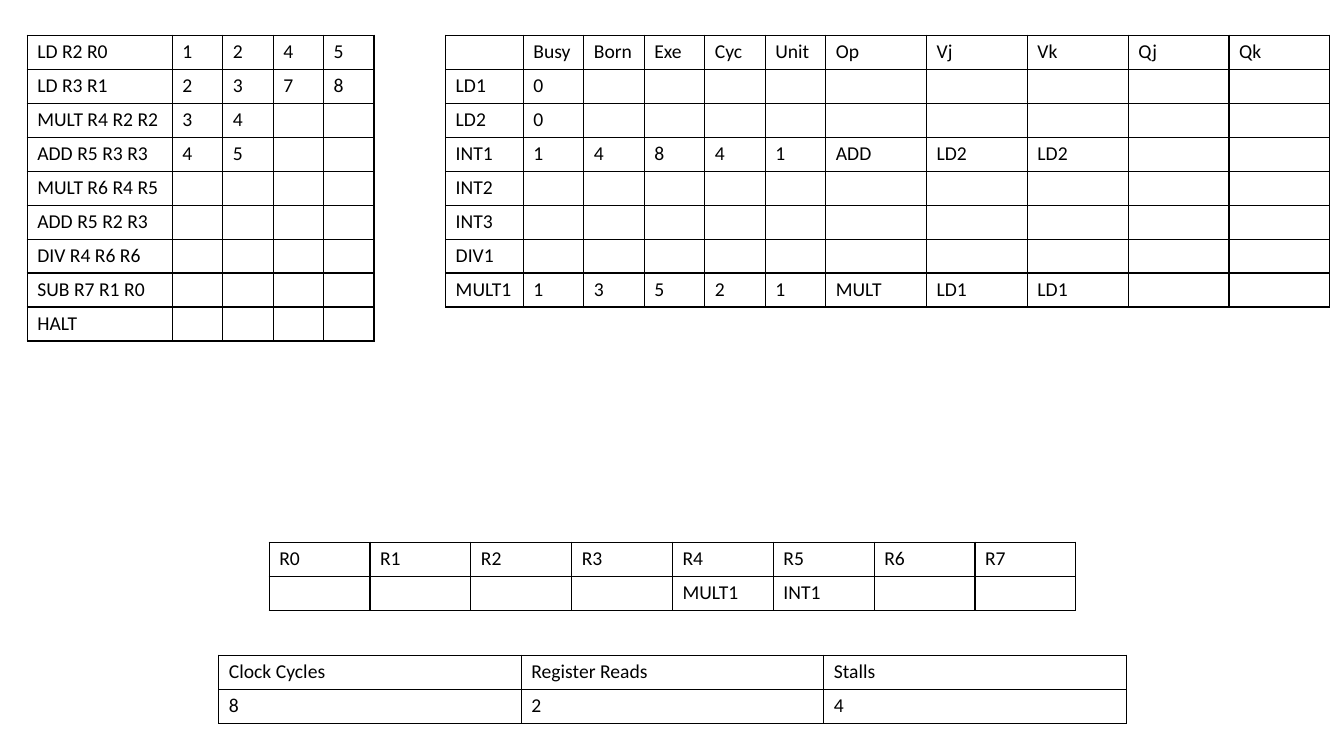
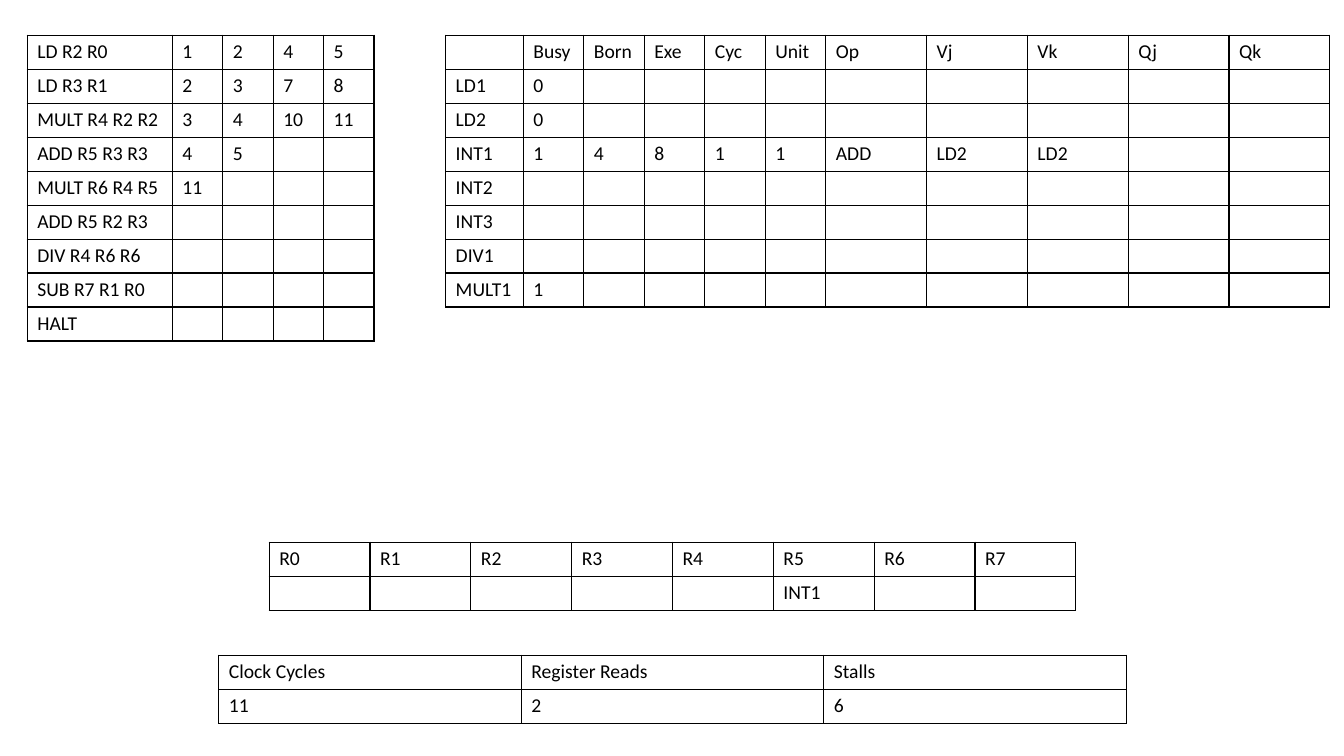
from lxml.etree import SubElement
from pptx import Presentation
from pptx.dml.color import RGBColor
from pptx.oxml.ns import qn
from pptx.util import Pt

PX = 9144
FONT = "Calibri"
SIZE = 14
ROW = 30
HUE = {"ink": "000000"}

CODE = ["LD R2 R0", "LD R3 R1", "MULT R4 R2 R2", "ADD R5 R3 R3", "MULT R6 R4 R5",
        "ADD R5 R2 R3", "DIV R4 R6 R6", "SUB R7 R1 R0", "HALT"]
HEAD = ["", "Busy", "Born", "Exe", "Cyc", "Unit", "Op", "Vj", "Vk", "Qj", "Qk"]
UNITS = ["LD1", "LD2", "INT1", "INT2", "INT3", "DIV1", "MULT1"]
REGS = [f"R{n}" for n in range(8)]
STATS = ["Clock Cycles", "Register Reads", "Stalls"]

STATES = [
    {
        "times": {"LD R2 R0": [1, 2, 4, 5], "LD R3 R1": [2, 3, 7, 8],
                  "MULT R4 R2 R2": [3, 4], "ADD R5 R3 R3": [4, 5]},
        "units": {"LD1": [0], "LD2": [0],
                  "INT1": [1, 4, 8, 4, 1, "ADD", "LD2", "LD2"],
                  "MULT1": [1, 3, 5, 2, 1, "MULT", "LD1", "LD1"]},
        "regs": {"R4": "MULT1", "R5": "INT1"},
        "stats": [8, 2, 4],
    },
    {
        "times": {"LD R2 R0": [1, 2, 4, 5], "LD R3 R1": [2, 3, 7, 8],
                  "MULT R4 R2 R2": [3, 4, 10, 11], "ADD R5 R3 R3": [4, 5],
                  "MULT R6 R4 R5": [11]},
        "units": {"LD1": [0], "LD2": [0],
                  "INT1": [1, 4, 8, 1, 1, "ADD", "LD2", "LD2"],
                  "MULT1": [1]},
        "regs": {"R5": "INT1"},
        "stats": [11, 2, 6],
    },
]


def fill_cell(cell, text):
    para = cell.text_frame.paragraphs[0]
    if text:
        run = para.add_run()
        run.text = text
        run.font.name = FONT
        run.font.size = Pt(SIZE)
        run.font.color.rgb = RGBColor.from_string(HUE["ink"])
    else:
        SubElement(para._p, qn("a:endParaRPr"), sz=str(SIZE * 100))
    props = cell._tc.get_or_add_tcPr()
    for side in "LRTB":
        line = SubElement(props, qn(f"a:ln{side}"), w=str(Pt(1)))
        paint = SubElement(line, qn("a:solidFill"))
        SubElement(paint, qn("a:srgbClr"), val=HUE["ink"])
    cell.fill.background()


def add_grid(slide, left, top, widths, rows):
    frame = slide.shapes.add_table(len(rows), len(widths), left * PX, top * PX,
                                   sum(widths) * PX, len(rows) * ROW * PX)
    table = frame.table
    table.first_row = False
    table.horz_banding = False
    for col, width in zip(table.columns, widths):
        col.width = width * PX
    for r, row in enumerate(rows):
        table.rows[r].height = ROW * PX
        for c in range(len(widths)):
            fill_cell(table.cell(r, c), str(row[c]) if c < len(row) else "")


deck = Presentation()
deck.slide_width = 1333 * PX
deck.slide_height = 750 * PX

for state in STATES:
    slide = deck.slides.add_slide(deck.slide_layouts[6])
    times = [[name] + state["times"].get(name, []) for name in CODE]
    units = [[name] + state["units"].get(name, []) for name in UNITS]
    regs = [state["regs"].get(name, "") for name in REGS]
    add_grid(slide, 27, 35, [144] + [50] * 4, times)
    add_grid(slide, 442, 35, [77] + [60] * 5 + [100] * 5, [HEAD] + units)
    add_grid(slide, 267, 538, [100] * 8, [REGS, regs])
    add_grid(slide, 217, 650, [300] * 3, [STATS, state["stats"]])

deck.save("out.pptx")
